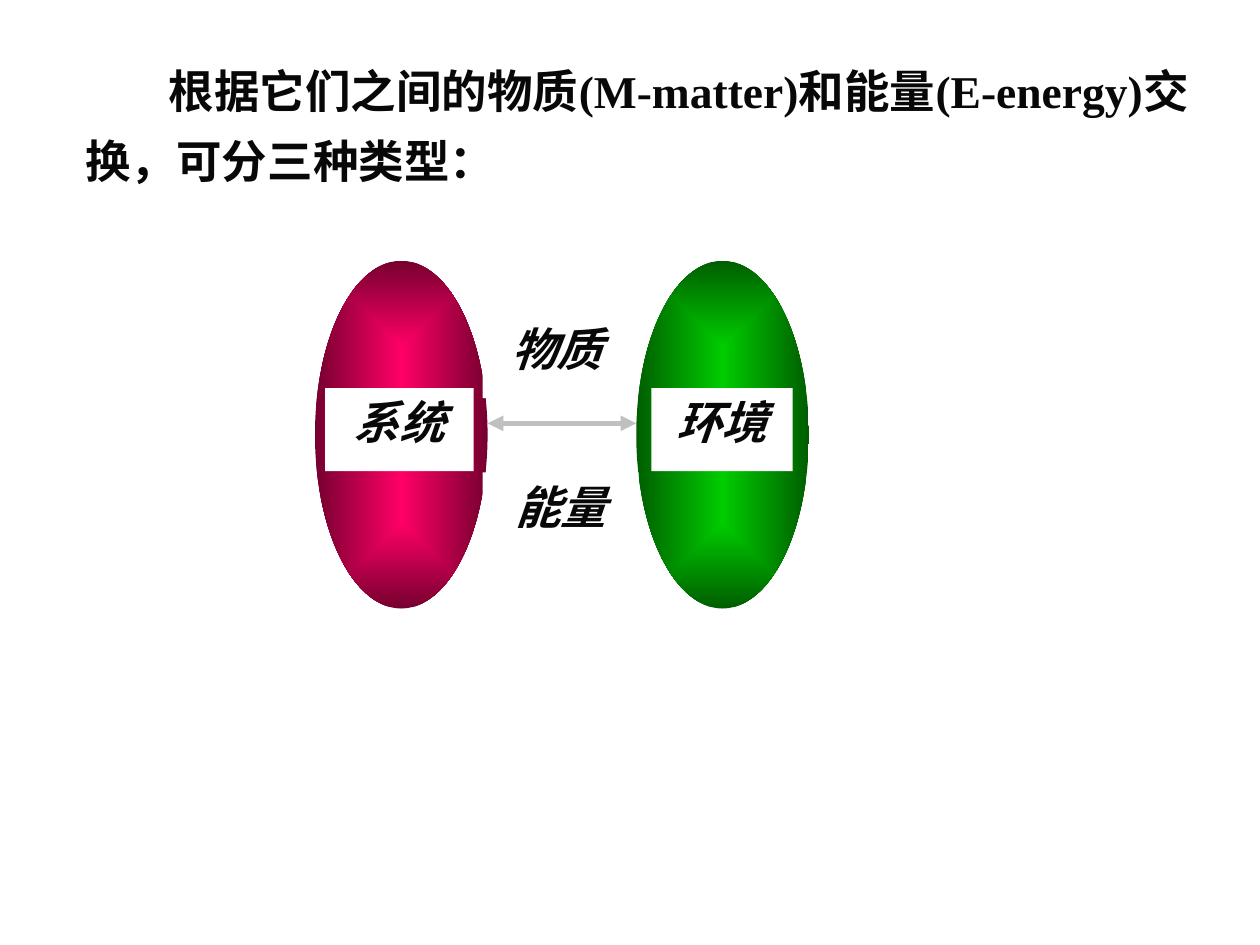
from lxml import etree
from pptx import Presentation, util as u
from pptx.dml.color import RGBColor
from pptx.enum import shapes, text
from pptx.oxml import parse_xml
from pptx.oxml.ns import nsdecls, qn

COLS, ROWS = 100, 75
WIDE, HIGH = u.Inches(10), u.Inches(7.5)

THEME = {
    "paper": "FFFFFF",
    "ink": "080808",
    "arrow": "C0C0C0",
    "red": ("FF0066", "76002F"),
    "green": ("00CC00", "005E00"),
    "font": {"name": "Times New Roman", "size": u.Pt(26), "bold": True},
    "stroke": u.Pt(3),
}


def col(n):
    return round(WIDE * n / COLS)


def row(n):
    return round(HIGH * n / ROWS)


def apply(item, form):
    for key, value in form.items():
        setattr(item, key, value)


def block(slide, kind, left, top, wide, high):
    shape = slide.shapes.add_shape(kind, col(left), row(top), col(wide), row(high))
    shape.shadow.inherit = False
    shape.line.fill.background()
    return shape


def label(slide, words, area, para, italic=True):
    shape = block(slide, shapes.MSO_SHAPE.RECTANGLE, *area)
    shape.fill.solid()
    shape.fill.fore_color.rgb = RGBColor.from_string(THEME["paper"])
    frame = shape.text_frame
    apply(frame, {"word_wrap": True, "auto_size": text.MSO_AUTO_SIZE.NONE,
                  "vertical_anchor": text.MSO_ANCHOR.TOP})
    line = frame.paragraphs[0]
    apply(line, para)
    run = line.add_run()
    run.text = words
    apply(run.font, {**THEME["font"], "italic": italic})
    run.font.color.rgb = RGBColor.from_string(THEME["ink"])
    return line


def oval(slide, left, tones):
    shape = block(slide, shapes.MSO_SHAPE.OVAL, left, 20.7, 13.7, 27.6)
    stops = "".join(
        f'<a:gs pos="{spot}"><a:srgbClr val="{tone}"/></a:gs>'
        for spot, tone in zip((0, 100000), tones))
    fill = parse_xml(
        f'<a:gradFill {nsdecls("a")} rotWithShape="1"><a:gsLst>{stops}</a:gsLst>'
        '<a:path path="shape"><a:fillToRect l="50000" t="50000" r="50000" b="50000"/>'
        '</a:path></a:gradFill>')
    shape.element.spPr.find(qn("a:prstGeom")).addnext(fill)


def arrow(slide, start, end, level):
    link = slide.shapes.add_connector(
        shapes.MSO_CONNECTOR.STRAIGHT, col(start), row(level), col(end), row(level))
    link.line.width = THEME["stroke"]
    link.line.color.rgb = RGBColor.from_string(THEME["arrow"])
    stroke = link.line._get_or_add_ln()
    for tip in ("a:headEnd", "a:tailEnd"):
        etree.SubElement(stroke, qn(tip), type="triangle")
    etree.SubElement(link.element.spPr, qn("a:effectLst"))


def main():
    deck = Presentation()
    apply(deck, {"slide_width": WIDE, "slide_height": HIGH})
    slide = deck.slides.add_slide(deck.slide_layouts[6])

    intro = label(slide, "根据它们之间的物质(M-matter)和能量(E-energy)交换，可分三种类型：",
                  (5.8, 3.3, 92.5, 14.3),
                  {"alignment": text.PP_ALIGN.LEFT, "line_spacing": u.Pt(40)},
                  italic=False)
    intro._p.get_or_add_pPr().set("indent", str(col(6.6)))

    oval(slide, 25, THEME["red"])
    oval(slide, 50.5, THEME["green"])
    arrow(slide, 38.7, 50.5, 33.6)

    for words, left, top, wide in (
            ("系统", 25.8, 30.8, 11.8), ("环境", 51.7, 30.8, 11.2),
            ("物质", 38.3, 25, 11.8), ("能量", 38.3, 37.5, 12.4)):
        label(slide, words, (left, top, wide, 6.6),
              {"alignment": text.PP_ALIGN.CENTER})

    deck.save("out.pptx")


if __name__ == "__main__":
    main()
